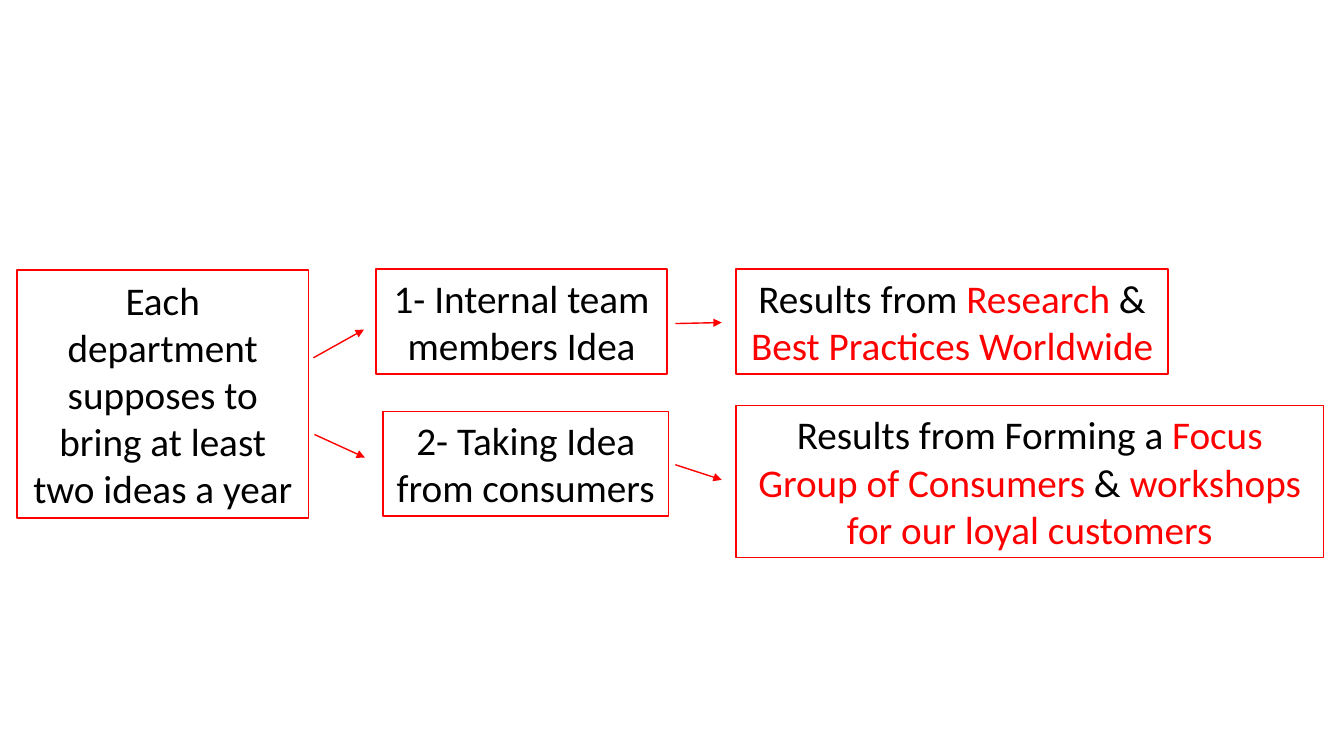
import pptx
import pptx.util
import pptx.dml.color
import pptx.enum.shapes
import pptx.enum.text
import pptx.oxml.ns
from lxml import etree

RGB = pptx.dml.color.RGBColor.from_string
THEME = {
    "font": "Calibri",
    "size": pptx.util.Pt(28),
    "line": pptx.util.Pt(1),
    "paper": RGB("FFFFFF"),
    "ink": RGB("000000"),
    "accent": RGB("FF0000"),
}

prs = pptx.Presentation()
prs.slide_width = pptx.util.Inches(13.333)
prs.slide_height = pptx.util.Inches(7.5)
s = prs.slides.add_slide(prs.slide_layouts[6])


def share(x, y):
    return int(prs.slide_width * x / 100), int(prs.slide_height * y / 100)


TOP = 35.6
TWO_LINES = 13.87
IDEA_WIDTH = 21.67
RESULT_LEFT = 54.75

boxes = [
    (1.27, 35.73, IDEA_WIDTH, 32.8,
     [("Each department supposes to bring at least two ideas a year", "ink")]),
    (27.97, TOP, IDEA_WIDTH, TWO_LINES,
     [("1- Internal team members Idea", "ink")]),
    (28.5, 54.4, 21.23, TWO_LINES,
     [("2- Taking Idea from consumers", "ink")]),
    (RESULT_LEFT, TOP, 32.17, TWO_LINES,
     [("Results from ", "ink"), ("Research ", "accent"), ("& ", "ink"),
      ("Best Practices Worldwide", "accent")]),
    (RESULT_LEFT, 53.6, 43.73, 20.13,
     [("Results from Forming a ", "ink"), ("Focus Group of Consumers ", "accent"),
      ("& ", "ink"), ("workshops for our loyal customers", "accent")]),
]

for left, top, width, height, parts in boxes:
    sp = s.shapes.add_shape(pptx.enum.shapes.MSO_SHAPE.RECTANGLE,
                            *share(left, top), *share(width, height))
    sp.shadow.inherit = False
    sp.fill.solid()
    sp.fill.fore_color.rgb = THEME["paper"]
    sp.line.color.rgb = THEME["accent"]
    sp.line.width = THEME["line"]
    tf = sp.text_frame
    tf.word_wrap = True
    tf.auto_size = pptx.enum.text.MSO_AUTO_SIZE.SHAPE_TO_FIT_TEXT
    p = tf.paragraphs[0]
    p.alignment = pptx.enum.text.PP_ALIGN.CENTER
    for text, color in parts:
        r = p.add_run()
        r.text = text
        r.font.name = THEME["font"]
        r.font.size = THEME["size"]
        r.font.color.rgb = THEME["ink" if color == "ink" else "accent"]

arrows = [
    (23.32, 47.33, 27.08, 43.6),
    (23.4, 57.47, 27.15, 60.53),
    (50.25, 42.8, 53.7, 42.67),
    (50.25, 61.47, 53.7, 63.47),
]

for x1, y1, x2, y2 in arrows:
    arrow = s.shapes.add_connector(pptx.enum.shapes.MSO_CONNECTOR.STRAIGHT,
                                   *share(x1, y1), *share(x2, y2))
    arrow.line.color.rgb = THEME["accent"]
    arrow.line.width = THEME["line"]
    etree.SubElement(arrow.line._get_or_add_ln(),
                     pptx.oxml.ns.qn("a:tailEnd"), type="triangle")
    etree.SubElement(arrow._element.spPr, pptx.oxml.ns.qn("a:effectLst"))

prs.save("out.pptx")
